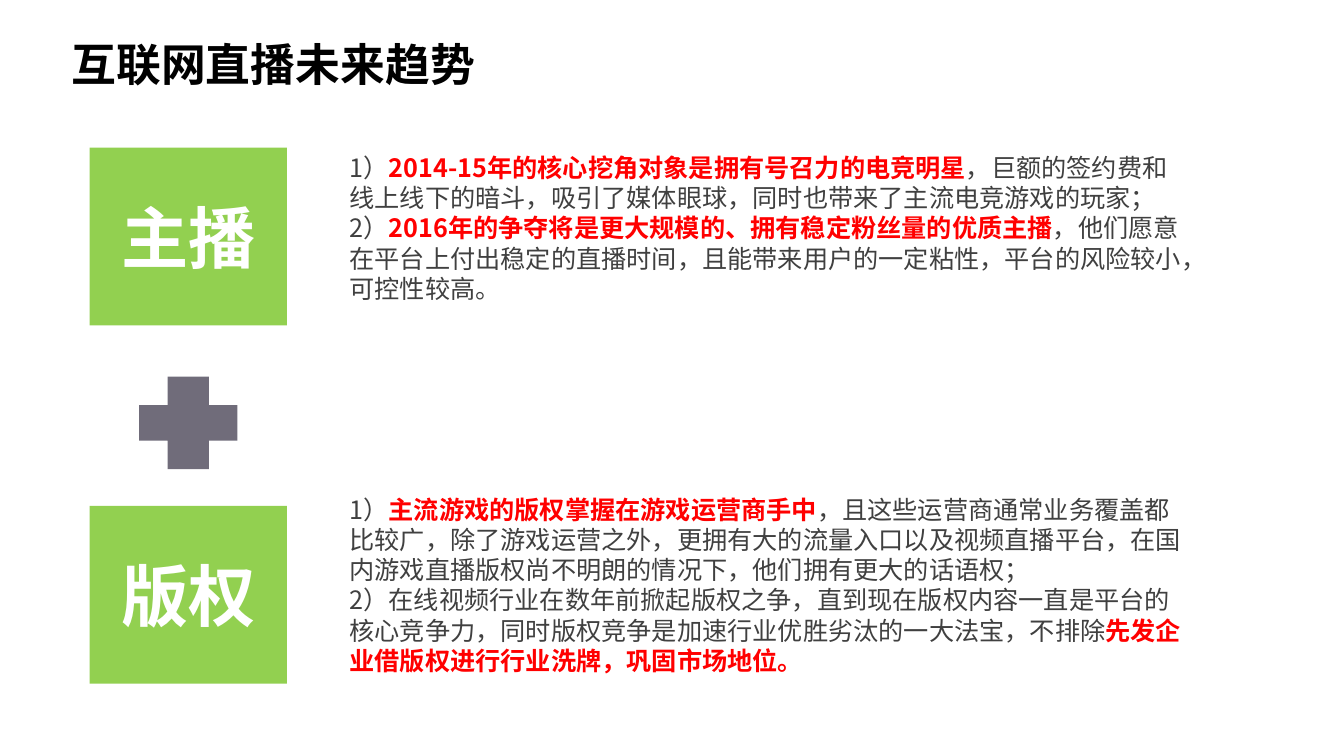
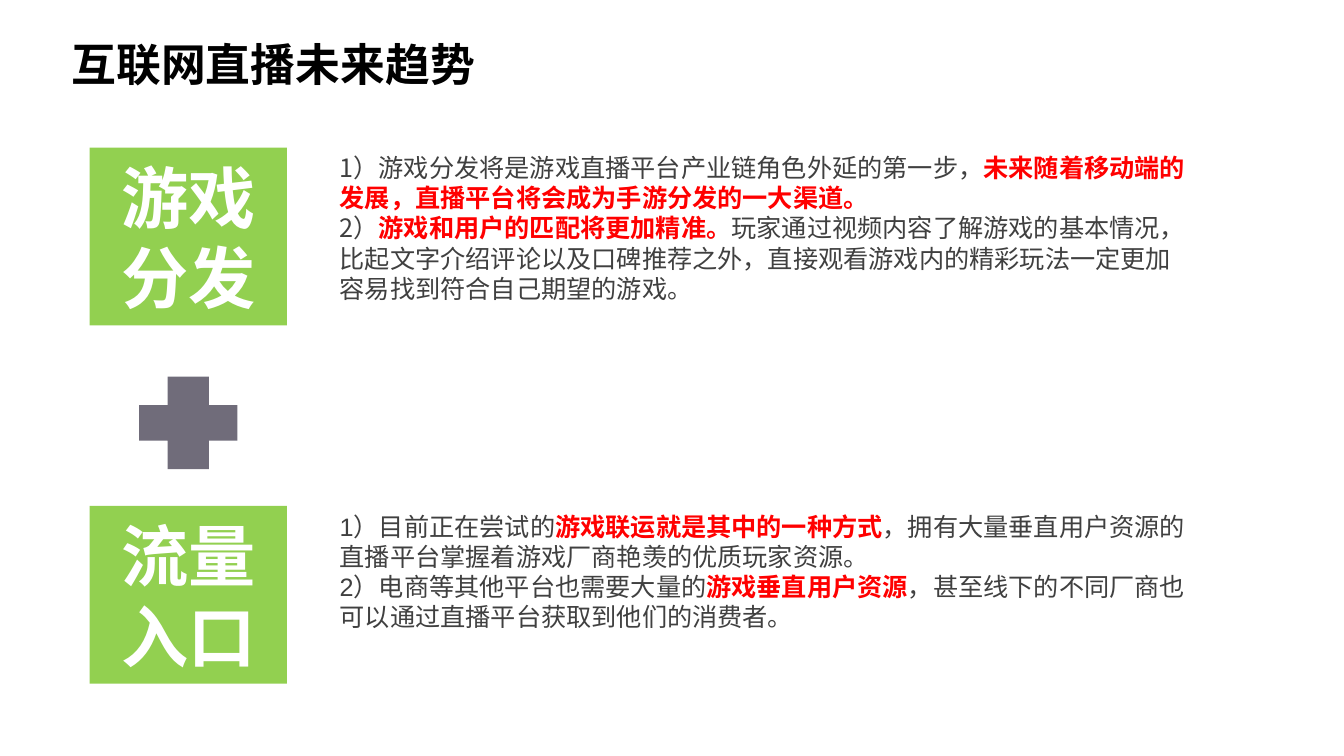
import pptx
import pptx.dml.color
import pptx.enum.lang
import pptx.enum.shapes
import pptx.enum.text
import pptx.oxml.ns
import pptx.util
import lxml.etree

Cm = pptx.util.Cm
ALIGN = pptx.enum.text.PP_ALIGN
ANCHOR = pptx.enum.text.MSO_ANCHOR
SHAPE = pptx.enum.shapes.MSO_SHAPE

COLORS = {"title": "000000", "block": "92D050", "label": "FFFFFF",
          "plus": "706C7A", "body": "404040", "accent": "FF0000"}
CJK_FONT = "Noto Sans CJK SC"

# Shared geometry in centimetres
BLOCK_LEFT, BLOCK_WIDTH, BLOCK_HEIGHT = 2.26, 4.97, 4.48
BLOCK_TOPS = (3.72, 12.84 - 0.09)
PLUS_TOP, PLUS_WIDTH, PLUS_HEIGHT = 9.54 - 0.05, 2.47, 2.33


def rgb(name):
    return pptx.dml.color.RGBColor.from_string(COLORS[name])


def write(para, text, size=18, color="body", bold=False, font=CJK_FONT, align=ALIGN.LEFT):
    """Fill a paragraph; text between asterisks is set bold in the accent colour."""
    para.alignment = align
    for index, part in enumerate(text.split("*")):
        if not part:
            continue
        marked = index % 2 == 1
        span = para.add_run()
        span.text = part
        span.font.size = pptx.util.Pt(size)
        span.font.bold = bold or marked
        span.font.color.rgb = rgb("accent" if marked else color)
        span.font.name = font
        span.font.language_id = pptx.enum.lang.MSO_LANGUAGE_ID.SIMPLIFIED_CHINESE
        # East Asian characters take their own typeface
        east_asian = lxml.etree.SubElement(span.font._element, pptx.oxml.ns.qn("a:ea"))
        east_asian.set("typeface", CJK_FONT)


class TrendDeck:
    def __init__(self):
        self.deck = pptx.Presentation()
        self.deck.slide_width, self.deck.slide_height = Cm(33.87), Cm(19.05)
        self.page = None

    def add_page(self, title):
        self.page = self.deck.slides.add_slide(self.deck.slide_layouts[5])
        box = self.page.shapes.title
        box.left, box.top, box.width, box.height = Cm(1.55), Cm(0.46), Cm(30.71), Cm(1.96)
        frame = box.text_frame
        frame.auto_size = pptx.enum.text.MSO_AUTO_SIZE.NONE
        frame.vertical_anchor = ANCHOR.BOTTOM
        para = frame.paragraphs[0]
        para.line_spacing = 0.9
        write(para, title, size=32, color="title", bold=True, font="Montserrat")

    def add_filled(self, kind, left, top, width, height, color):
        shape = self.page.shapes.add_shape(kind, Cm(left), Cm(top), Cm(width), Cm(height))
        shape.shadow.inherit = False
        shape.fill.solid()
        shape.fill.fore_color.rgb = rgb(color)
        shape.line.fill.background()
        return shape

    def add_block(self, label, top):
        block = self.add_filled(SHAPE.RECTANGLE, BLOCK_LEFT, top,
                                BLOCK_WIDTH, BLOCK_HEIGHT, "block")
        frame = block.text_frame
        frame.word_wrap = True
        frame.vertical_anchor = ANCHOR.MIDDLE
        write(frame.paragraphs[0], label, size=48, color="label", bold=True,
              align=ALIGN.CENTER)

    def add_plus(self):
        left = BLOCK_LEFT + (BLOCK_WIDTH - PLUS_WIDTH) / 2
        plus = self.add_filled(SHAPE.CROSS, left, PLUS_TOP, PLUS_WIDTH, PLUS_HEIGHT, "plus")
        plus.adjustments[0] = 0.308

    def add_body(self, points, left, top, width, height, font=CJK_FONT):
        box = self.page.shapes.add_textbox(Cm(left), Cm(top), Cm(width), Cm(height))
        frame = box.text_frame
        frame.word_wrap = True
        frame.auto_size = pptx.enum.text.MSO_AUTO_SIZE.SHAPE_TO_FIT_TEXT
        for index, point in enumerate(points):
            para = frame.add_paragraph() if index else frame.paragraphs[0]
            write(para, point, font=font)


# Each page: text column, then two topics with label, text top and height, and points
PAGES = [
    {"left": 8.56, "width": 21.49, "topics": [
        {"label": "主播", "top": 3.71, "height": 4.11, "points": [
            "1）*2014-15年的核心挖角对象是拥有号召力的电竞明星*，巨额的签约费和线上线下的暗斗，"
            "吸引了媒体眼球，同时也带来了主流电竞游戏的玩家；",
            "2）*2016年的争夺将是更大规模的、拥有稳定粉丝量的优质主播*，他们愿意在平台上付出稳定的"
            "直播时间，且能带来用户的一定粘性，平台的风险较小，可控性较高。"]},
        {"label": "版权", "top": 12.32, "height": 4.88, "points": [
            "1）*主流游戏的版权掌握在游戏运营商手中*，且这些运营商通常业务覆盖都比较广，除了游戏运营之外，"
            "更拥有大的流量入口以及视频直播平台，在国内游戏直播版权尚不明朗的情况下，他们拥有更大的话语权；",
            "2）在线视频行业在数年前掀起版权之争，直到现在版权内容一直是平台的核心竞争力，"
            "同时版权竞争是加速行业优胜劣汰的一大法宝，不排除*先发企业借版权进行行业洗牌，巩固市场地位。*"]},
    ]},
    {"left": 8.31, "width": 21.89, "topics": [
        {"label": "游戏分发", "top": 3.71, "height": 4.11, "points": [
            "1）游戏分发将是游戏直播平台产业链角色外延的第一步，"
            "*未来随着移动端的发展，直播平台将会成为手游分发的一大渠道。*",
            "2）*游戏和用户的匹配将更加精准。*玩家通过视频内容了解游戏的基本情况，比起文字介绍评论以及"
            "口碑推荐之外，直接观看游戏内的精彩玩法一定更加容易找到符合自己期望的游戏。"]},
        {"label": "流量入口", "top": 12.75, "height": 3.33, "font": "Arial", "points": [
            "1）目前正在尝试的*游戏联运就是其中的一种方式*，拥有大量垂直用户资源的直播平台掌握着"
            "游戏厂商艳羡的优质玩家资源。",
            "2）电商等其他平台也需要大量的*游戏垂直用户资源*，甚至线下的不同厂商也可以通过直播平台"
            "获取到他们的消费者。"]},
    ]},
]


def main():
    trends = TrendDeck()
    for content in PAGES:
        trends.add_page("互联网直播未来趋势")
        for topic, block_top in zip(content["topics"], BLOCK_TOPS):
            trends.add_block(topic["label"], block_top)
            trends.add_body(topic["points"], content["left"], topic["top"],
                            content["width"], topic["height"], topic.get("font", CJK_FONT))
        trends.add_plus()
    trends.deck.save("out.pptx")


if __name__ == "__main__":
    main()
